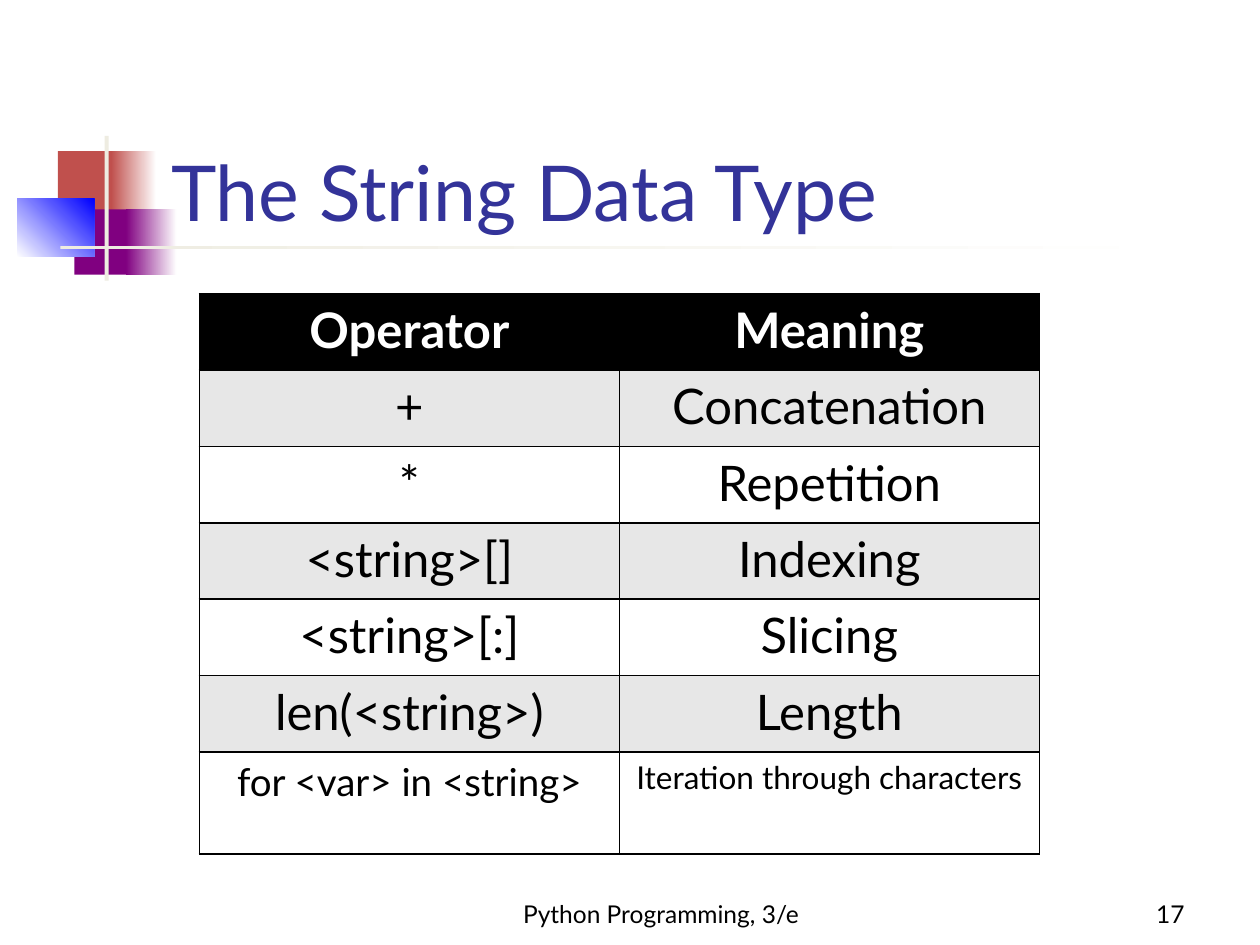
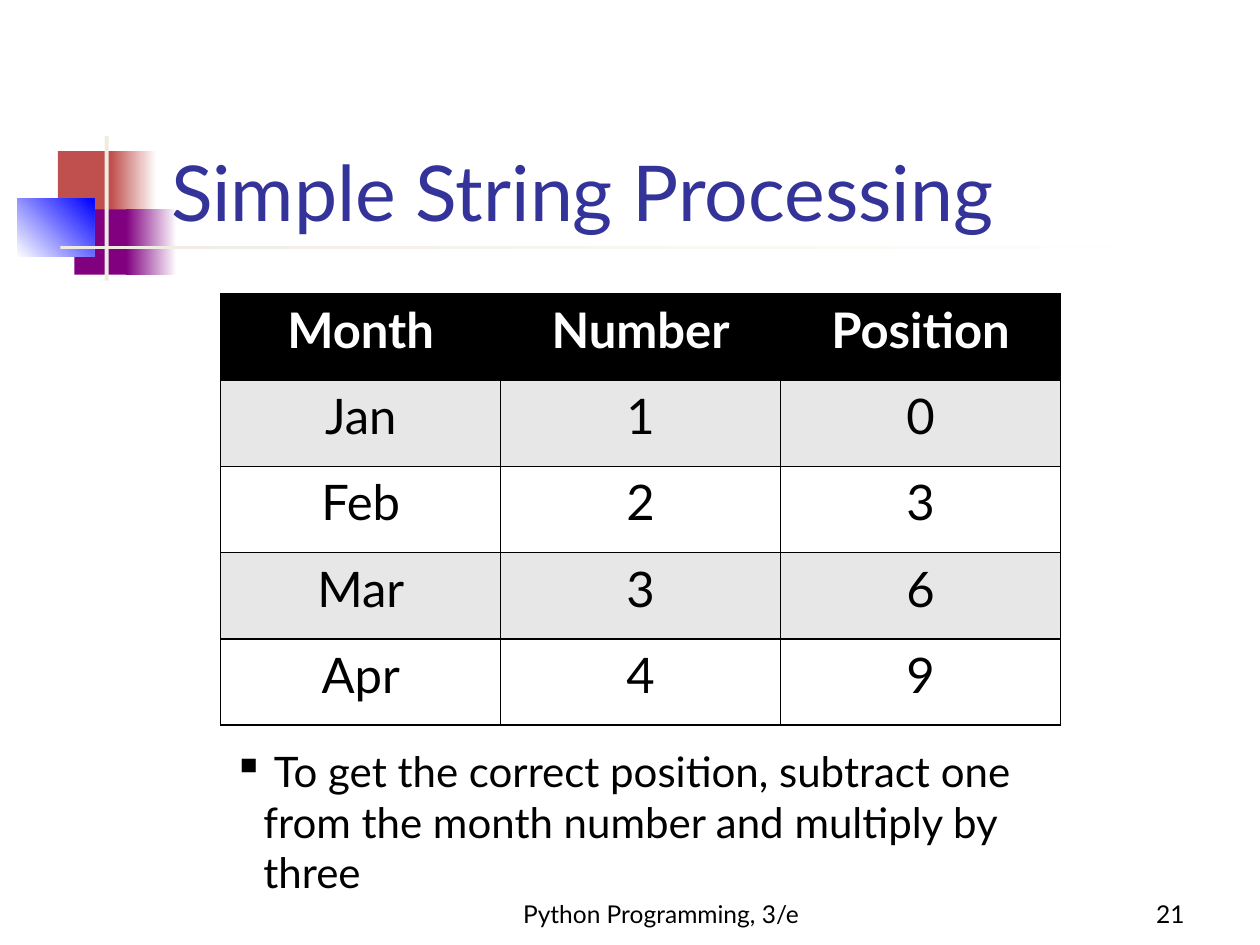
"""Builds two table slides on Python strings with a shared title band and footer."""
from dataclasses import dataclass

from lxml import etree
from pptx import Presentation
from pptx import util as u
from pptx.dml.color import RGBColor
from pptx.enum import shapes, text
from pptx.oxml import ns


@dataclass(frozen=True)
class Theme:
    """Font, colours and type sizes shared by the slides."""
    font: str = "Lato"
    title: str = "333399"
    ink: str = "000000"
    paper: str = "FFFFFF"
    band: str = "E7E7E7"
    red: str = "C0504D"
    purple: str = "800080"
    blue: str = "0000FF"
    rule: str = "EEECE1"
    title_pt: int = 44
    table_pt: int = 28
    note_pt: int = 24
    footer_pt: int = 14
    border_pt: float = 0.96


T = Theme()
ALIGN = text.PP_ALIGN

DECORATION = [
    ((1.17, 3.05, 1.22, 1.32), (T.red,), 0),
    ((2.24, 3.05, 0.91, 1.32), (T.red, T.paper), 0),
    ((1.5, 4.22, 1.17, 1.32), (T.purple,), 0),
    ((2.54, 4.22, 1.02, 1.32), (T.purple, T.paper), 0),
    ((0.35, 4.01, 1.55, 1.17), (T.paper, T.blue), 45),
    ((2.11, 2.74, 0.08, 2.92), (T.rule,), 0),
    ((1.22, 4.95, 22.86, 0.08), (T.rule, T.paper), 0),
]

OPERATORS = [
    ("Operator", "Meaning"),
    ("+", "Concatenation"),
    ("*", "Repetition"),
    ("<string>[]", "Indexing"),
    ("<string>[:]", "Slicing"),
    ("len(<string>)", "Length"),
    ("for <var> in <string>", "Iteration through characters"),
]
MONTHS = [("Month", "Number", "Position")] + [
    (month, str(i + 1), str(3 * i))
    for i, month in enumerate(("Jan", "Feb", "Mar", "Apr"))
]


def rgb(value):
    """Turn a hex string into a colour."""
    return RGBColor.from_string(value)


def cm(box):
    """Turn a box in centimetres into lengths."""
    return [u.Cm(v) for v in box]


def style(p, size, color, align=ALIGN.LEFT, bold=False):
    """Format a paragraph and its runs."""
    p.alignment = align
    for r in p.runs:
        r.font.name = T.font
        r.font.size = u.Pt(size)
        r.font.bold = bold
        r.font.color.rgb = rgb(color)


def add_block(s, box, colors, angle):
    """Add a borderless rectangle with a plain or gradient fill."""
    sp = s.shapes.add_shape(shapes.MSO_SHAPE.RECTANGLE, *cm(box))
    sp.shadow.inherit = False
    sp.line.fill.background()
    if len(colors) == 1:
        sp.fill.solid()
        sp.fill.fore_color.rgb = rgb(colors[0])
        return
    sp.fill.gradient()
    sp.fill.gradient_angle = angle
    for i, (stop, color) in enumerate(zip(sp.fill.gradient_stops, colors)):
        stop.position = i
        stop.color.rgb = rgb(color)


def add_text(s, box, content, size, color=T.ink, align=ALIGN.LEFT,
             anchor=text.MSO_ANCHOR.BOTTOM):
    """Add a wrapped one-paragraph text box and return its paragraph."""
    tf = s.shapes.add_textbox(*cm(box)).text_frame
    tf.word_wrap = True
    tf.vertical_anchor = anchor
    tf.text = content
    p = tf.paragraphs[0]
    style(p, size, color, align)
    return p


def add_bullet(s, box, content):
    """Add a text box with a square bullet and a hanging indent."""
    p = add_text(s, box, content, T.note_pt, anchor=text.MSO_ANCHOR.TOP)
    pPr = p._p.get_or_add_pPr()
    indent = u.Cm(0.61)
    pPr.set("marL", str(indent))
    pPr.set("indent", str(-indent))
    clr = etree.SubElement(pPr, ns.qn("a:buClr"))
    etree.SubElement(clr, ns.qn("a:srgbClr"), val=T.ink)
    etree.SubElement(pPr, ns.qn("a:buChar"), char="▪")


def set_borders(cell):
    """Draw a thin line on all four sides of a cell."""
    tcPr = cell._tc.get_or_add_tcPr()
    for side in ("lnL", "lnR", "lnT", "lnB"):
        ln = etree.SubElement(tcPr, ns.qn(f"a:{side}"), w=str(u.Pt(T.border_pt)))
        fill = etree.SubElement(ln, ns.qn("a:solidFill"))
        etree.SubElement(fill, ns.qn("a:srgbClr"), val=T.ink)


def add_grid(s, left, rows, heights, last_sizes=None):
    """Add a table with a black header and alternating row fills."""
    n = len(rows[0])
    width = 16.93
    box = cm((left, 5.92, width, sum(heights)))
    tbl = s.shapes.add_table(len(rows), n, *box).table
    tbl.horz_banding = False
    for col in tbl.columns:
        col.width = u.Cm(width / n)
    for i, (values, height) in enumerate(zip(rows, heights)):
        tbl.rows[i].height = u.Cm(height)
        head = i == 0
        fill = T.ink if head else T.band if i % 2 else T.paper
        sizes = (T.table_pt,) * n
        if last_sizes and i == len(rows) - 1:
            sizes = last_sizes
        for j, (value, size) in enumerate(zip(values, sizes)):
            cell = tbl.cell(i, j)
            set_borders(cell)
            cell.fill.solid()
            cell.fill.fore_color.rgb = rgb(fill)
            cell.text_frame.text = value
            style(cell.text_frame.paragraphs[0], size,
                  T.paper if head else T.ink, ALIGN.CENTER, head)


def add_slide(prs, title, number):
    """Add a blank slide with decoration, footer and title."""
    s = prs.slides.add_slide(prs.slide_layouts[6])
    for box, colors, angle in DECORATION:
        add_block(s, box, colors, angle)
    add_text(s, (9.31, 17.57, 8.04, 1.27), "Python Programming, 3/e",
             T.footer_pt, align=ALIGN.CENTER)
    add_text(s, (18.84, 17.57, 5.29, 1.27), str(number),
             T.footer_pt, align=ALIGN.RIGHT)
    add_text(s, (3.2, 1.73, 21.64, 3.18), title, T.title_pt, T.title)
    return s


def main():
    """Build and save the slides."""
    prs = Presentation()
    prs.slide_width, prs.slide_height = u.Cm(25.4), u.Cm(19.05)

    s = add_slide(prs, "The String Data Type", 17)
    add_grid(s, 4.02, OPERATORS, [1.54] * 6 + [2.06], (22, 18))

    s = add_slide(prs, "Simple String Processing", 21)
    add_grid(s, 4.45, MONTHS, [1.74] * 5)
    add_bullet(s, (4.45, 14.91, 17.35, 3.3),
               " To get the correct position, subtract one from the month "
               "number and multiply by three")

    prs.save("out.pptx")


if __name__ == "__main__":
    main()
